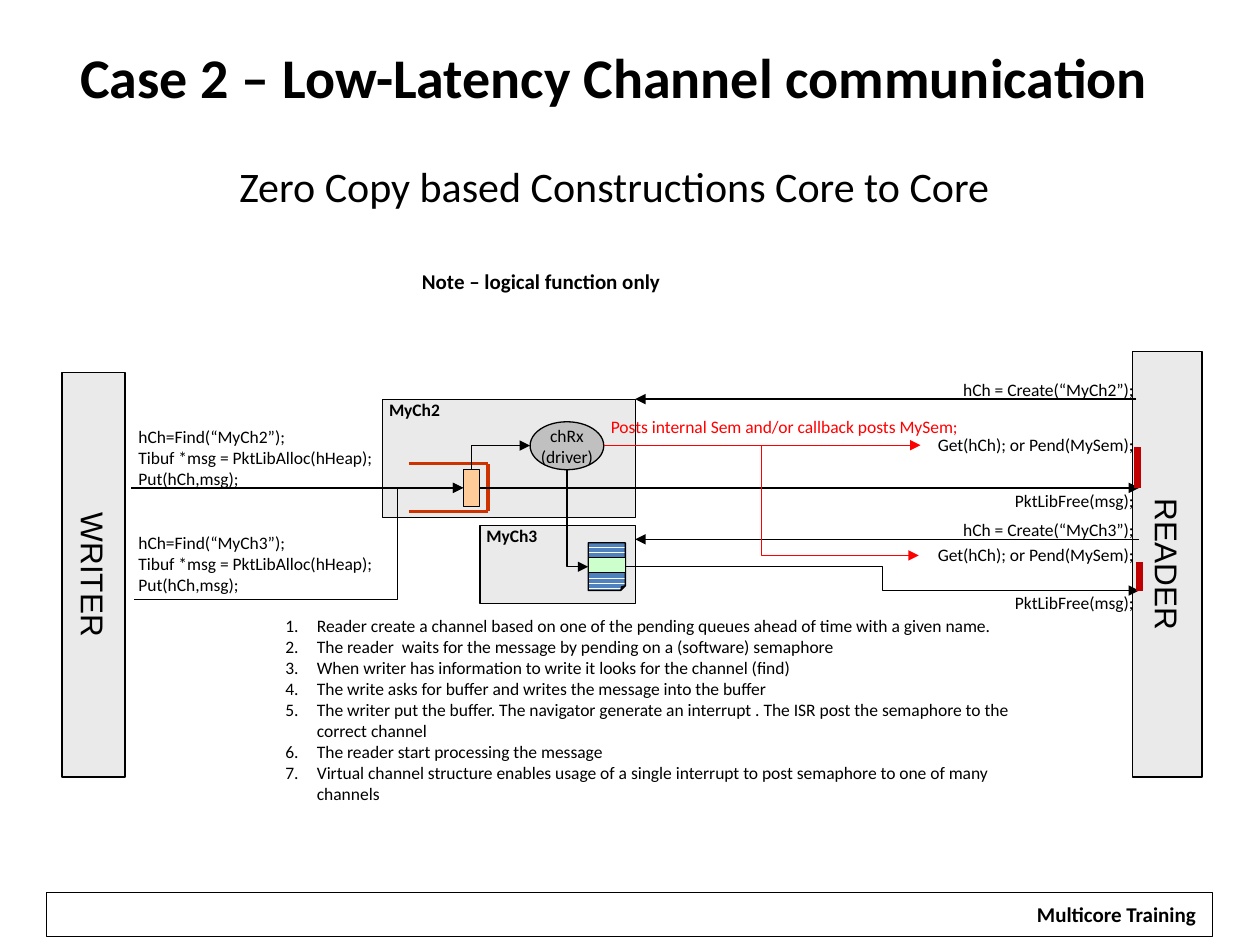
"""Build the slide on low-latency channel communication between two cores."""
import lxml.etree
import pptx
import pptx.dml.color
import pptx.enum.dml
import pptx.enum.shapes
import pptx.enum.text
import pptx.oxml.ns
import pptx.util

Pt = pptx.util.Pt
SHAPE = pptx.enum.shapes.MSO_SHAPE
CONNECTOR = pptx.enum.shapes.MSO_CONNECTOR
ALIGN = pptx.enum.text.PP_ALIGN
ANCHOR = pptx.enum.text.MSO_ANCHOR
BLACK, GREY, RED = "000000", "EAEAEA", "FF0000"
STEPS = [
    "Reader create a channel based on one of the pending queues ahead of time with a given name.",
    "The reader  waits for the message by pending on a (software) semaphore",
    "When writer has information to write it looks for the channel (find)",
    "The write asks for buffer and writes the message into the buffer",
    "The writer put the buffer. The navigator generate an interrupt . "
    "The ISR post the semaphore to the correct channel",
    "The reader start processing the message",
    "Virtual channel structure enables usage of a single interrupt to post semaphore to one of many channels",
]


def color(value):
    """Turn a hex string into a colour."""
    return pptx.dml.color.RGBColor.from_string(value)


def add_child(parent, tag, **attributes):
    """Append a DrawingML element to a parent element."""
    child = lxml.etree.SubElement(parent, pptx.oxml.ns.qn(tag))
    for name, value in attributes.items():
        child.set(name, value)
    return child


def set_geometry(shape, preset, adjust=None):
    """Set the preset geometry and its first adjustment."""
    geometry = shape._element.spPr.find(pptx.oxml.ns.qn("a:prstGeom"))
    geometry.set("prst", preset)
    if adjust:
        guides = geometry.find(pptx.oxml.ns.qn("a:avLst"))
        add_child(guides, "a:gd", name="adj" if preset == "foldedCorner" else "adj1", fmla=f"val {adjust}")


def write(shape, lines, size=10, bold=False, ink=BLACK, align=ALIGN.LEFT, font="Calibri"):
    """Write one paragraph per line and return the paragraphs."""
    frame = shape.text_frame
    frame.text = "\n".join(lines)
    for paragraph in frame.paragraphs:
        paragraph.alignment = align
        paragraph.font.size = Pt(size)
        paragraph.font.bold = bold
        paragraph.font.name = font
        paragraph.font.color.rgb = color(ink)
    return frame.paragraphs


def add_text(slide, left, top, width, height, lines, **style):
    """Add a wrapping text box and return its paragraphs."""
    box = slide.shapes.add_textbox(Pt(left), Pt(top), Pt(width), Pt(height))
    box.text_frame.word_wrap = True
    return write(box, lines, **style)


def add_box(slide, kind, left, top, width, height, fill=None):
    """Add a thinly outlined preset shape."""
    shape = slide.shapes.add_shape(kind, Pt(left), Pt(top), Pt(width), Pt(height))
    shape.shadow.inherit = False
    shape.line.color.rgb = color(BLACK)
    shape.line.width = Pt(0.75)
    if fill:
        shape.fill.solid()
        shape.fill.fore_color.rgb = color(fill)
    else:
        shape.fill.background()
    return shape


def set_insets(shape, side):
    """Set the side insets and clear those at top and bottom."""
    frame = shape.text_frame
    frame.margin_left = frame.margin_right = Pt(side)
    frame.margin_top = frame.margin_bottom = 0


def add_core(slide, name, left, top, width, height):
    """Add a tall bar with its name turned on its side."""
    bar = add_box(slide, SHAPE.RECTANGLE, left, top, width, height, GREY)
    set_insets(bar, 0)
    bar.text_frame.word_wrap = False
    bar.text_frame.vertical_anchor = ANCHOR.MIDDLE
    bar.text_frame._txBody.bodyPr.set("vert", "vert")
    write(bar, [name], size=18, align=ALIGN.CENTER, font="Arial")


def add_channel(slide, name, left, top, width, height):
    """Add a channel box labelled in its top left corner."""
    box = add_box(slide, SHAPE.RECTANGLE, left, top, width, height, GREY)
    set_insets(box, 3.6)
    box.text_frame.vertical_anchor = ANCHOR.TOP
    write(box, [name], bold=True)


def add_line(slide, start, end, ink=BLACK, width=0.75, arrow=None, bend=None, adjust=None):
    """Add a straight or bent connector, with an arrowhead at either end."""
    kind = CONNECTOR.ELBOW if bend else CONNECTOR.STRAIGHT
    line = slide.shapes.add_connector(kind, *(Pt(value) for value in start + end))
    line.line.color.rgb = color(ink)
    line.line.width = Pt(width)
    if bend:
        set_geometry(line, bend, adjust)
    if arrow:
        add_child(line.line._get_or_add_ln(), f"a:{arrow}", type="triangle")
    add_child(line._element.spPr, "a:effectLst")


def add_headings(slide):
    """Add the title, subtitle and note."""
    title, subtitle = add_text(
        slide, 18, 21, 666, 110,
        ["Case 2 – Low-Latency Channel communication", "Zero Copy based Constructions Core to Core"],
        size=32, bold=True, align=ALIGN.CENTER)
    subtitle.font.size = Pt(24)
    subtitle.font.bold = False
    subtitle.space_before = Pt(29)
    add_text(slide, 234, 149.8, 276, 21.6, ["Note – logical function only"], size=12, bold=True)


def add_steps(slide):
    """Add the numbered list of steps."""
    for paragraph in add_text(slide, 156, 347.8, 444, 116.6, STEPS):
        properties = paragraph._p.get_or_add_pPr()
        properties.set("marL", str(Pt(18)))
        properties.set("indent", str(-Pt(18)))
        properties.insert(0, add_child(properties, "a:buAutoNum", type="arabicPeriod"))


def add_calls(slide):
    """Add the calls made by the writer and by the reader."""
    for channel, top in (("MyCh2", 239.8), ("MyCh3", 300.3)):
        calls = [f"hCh=Find(“{channel}”);", "Tibuf *msg = PktLibAlloc(hHeap);", "Put(hCh,msg);"]
        for row, call in enumerate(calls):
            add_text(slide, 72, top + 12 * row, 168, 19.4, [call])
    for channel, tops in (("MyCh2", (213, 244.6, 276.3)), ("MyCh3", (293, 307.6, 335))):
        calls = [f"hCh = Create(“{channel}”);", "Get(hCh); or Pend(MySem);", "PktLibFree(msg);"]
        for call, top in zip(calls, tops):
            add_text(slide, 522, top, 132.8, 19.4, [call], align=ALIGN.RIGHT)
    add_text(slide, 342, 234, 234.7, 19.4,
             ["Posts internal Sem and/or callback posts MySem;"], ink=RED)


def add_queue(slide):
    """Add the message and the open-sided queue around it."""
    add_box(slide, SHAPE.RECTANGLE, 264.7, 268.3, 9.4, 21.1, "FFCC99")
    top, bottom, left, right = 265, 292.2, 233.5, 278.8
    for start, end in (((left, top), (right, top)), ((left, bottom), (right, bottom)),
                       ((right, bottom), (right, top))):
        add_line(slide, start, end, "CC3300", 2)


def add_driver(slide):
    """Add the receive driver."""
    driver = add_box(slide, SHAPE.OVAL, 302.9, 241, 42.1, 27.4, "C0C0C0")
    driver.text_frame.word_wrap = False
    driver.text_frame.vertical_anchor = ANCHOR.MIDDLE
    write(driver, ["chRx", "(driver)"], align=ALIGN.CENTER)


def add_buffer(slide):
    """Add the striped buffer page and the message in it."""
    page = add_box(slide, SHAPE.FOLDED_CORNER, 336.2, 310.2, 21.2, 27.2)
    set_geometry(page, "foldedCorner", 12500)
    page.fill.patterned()
    page.fill.pattern = pptx.enum.dml.MSO_PATTERN.DARK_HORIZONTAL
    page.fill.fore_color.rgb = color("4F81BD")
    page.fill.back_color.rgb = color("FFFFFF")
    add_box(slide, SHAPE.RECTANGLE, 336.2, 318.7, 21.2, 8.6, "CCFFCC")


def add_flows(slide):
    """Add the arrows between the parts and the reader's wait marks."""
    for start, end in (((649.4, 228.1), (363, 228.1)), ((650.9, 308.2), (363, 308.2)),
                       ((74.9, 278.8), (264.7, 278.8)), ((274.3, 278.8), (650.9, 278.8))):
        add_line(slide, start, end, arrow="tailEnd")
    for start, end in (((302.9, 254.6), (269.4, 268.3)), ((336.2, 323.9), (324, 268.4))):
        add_line(slide, start, end, arrow="headEnd", bend="bentConnector2")
    for start, end, ink, adjust in (((345, 254.6), (526, 254.4), RED, None),
                                    ((345, 254.6), (525, 317.4), RED, None),
                                    ((357.4, 323.9), (650.9, 337.5), BLACK, None),
                                    ((76.8, 342.5), (264.7, 278.8), BLACK, 80100)):
        add_line(slide, start, end, ink, arrow="tailEnd", bend="bentConnector3", adjust=adjust)
    add_line(slide, (649.8, 255.5), (649.8, 278.8), "C00000", 4)
    add_line(slide, (650.9, 321.3), (650.9, 337.5), "C00000", 4)


def main():
    """Build and save the slide."""
    presentation = pptx.Presentation()
    presentation.slide_width, presentation.slide_height = Pt(720), Pt(540)
    slide = presentation.slides.add_slide(presentation.slide_layouts[6])
    add_box(slide, SHAPE.RECTANGLE, 26.5, 510, 666.5, 25)
    add_text(slide, 584.6, 511.7, 106.8, 21.8, ["Multicore Training"],
             size=12, bold=True, align=ALIGN.CENTER)
    add_headings(slide)
    add_core(slide, "READER", 647.3, 200.9, 39.6, 243.2)
    add_core(slide, "WRITER", 35.4, 212.9, 36, 231.2)
    add_steps(slide)
    add_channel(slide, "MyCh3", 274.3, 300.2, 88.7, 44.8)
    add_channel(slide, "MyCh2", 218.7, 228.1, 144.3, 67.6)
    add_driver(slide)
    add_queue(slide)
    add_buffer(slide)
    add_flows(slide)
    add_calls(slide)
    presentation.save("out.pptx")


if __name__ == "__main__":
    main()
